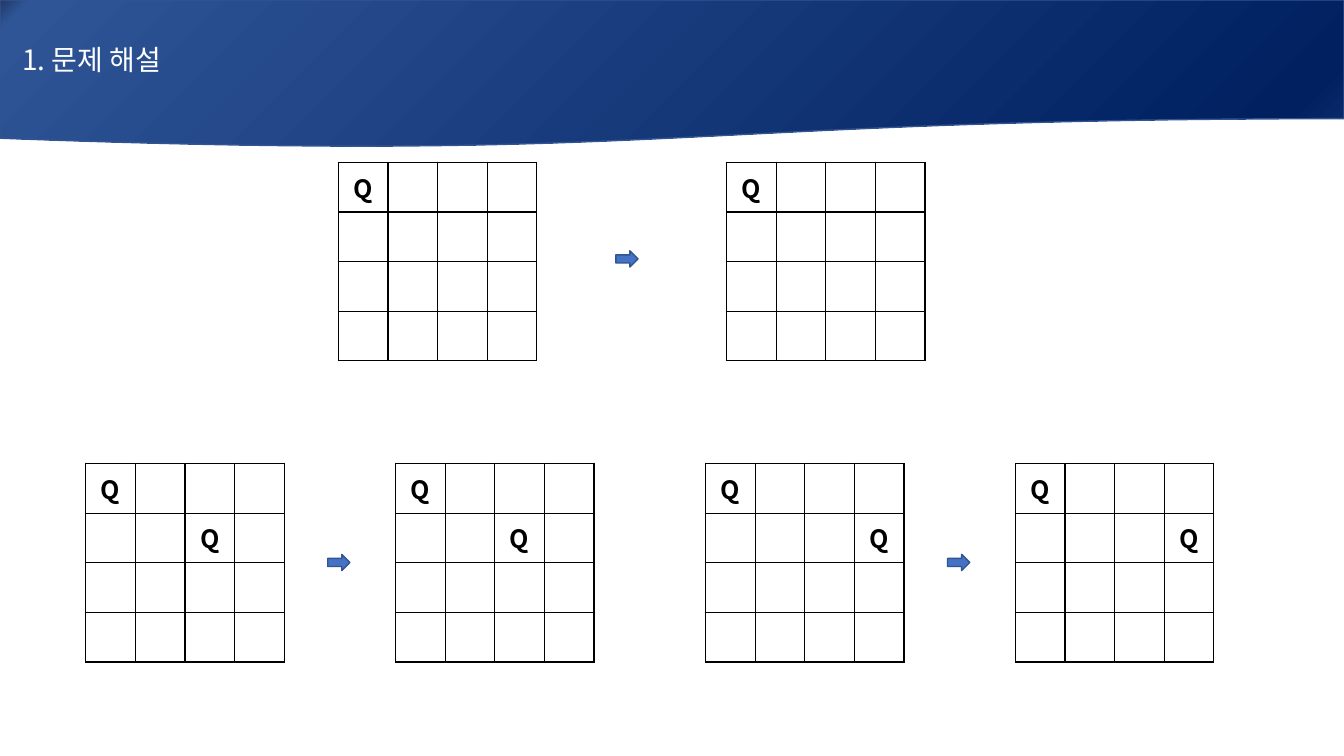
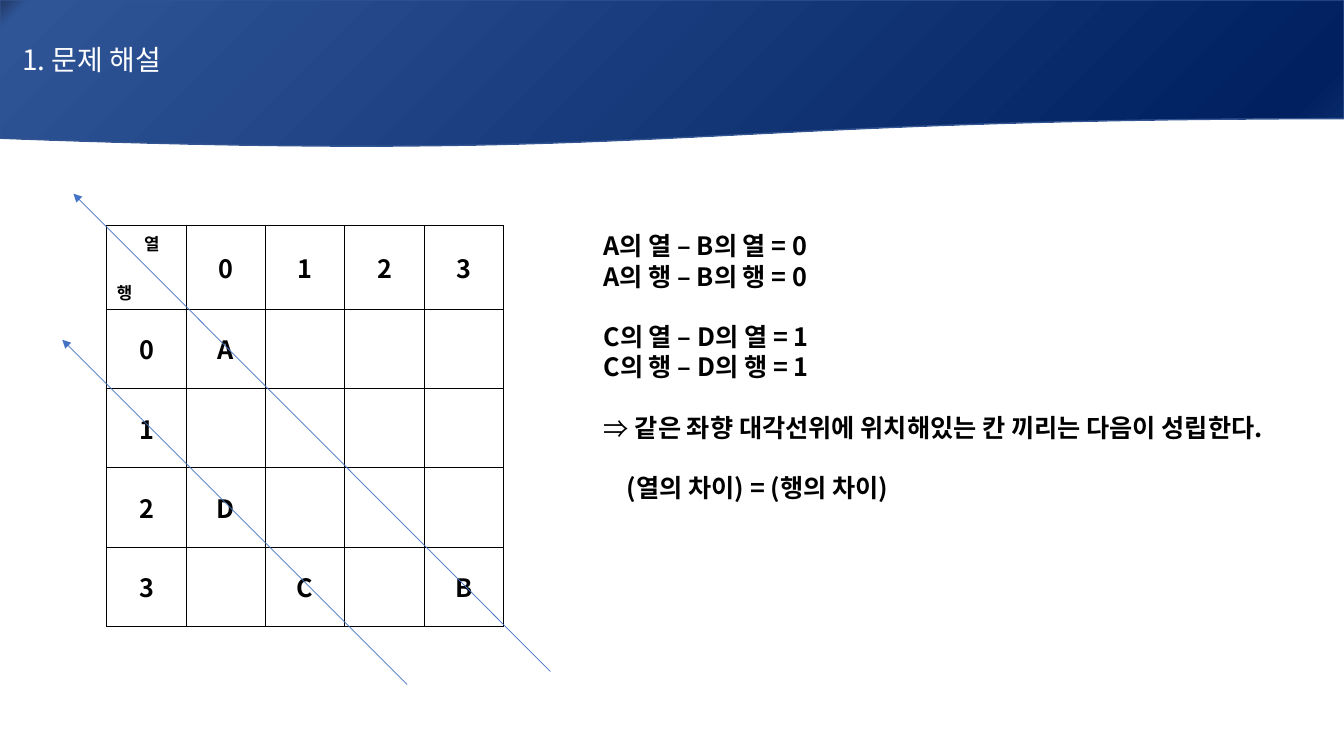
from lxml.etree import SubElement
from pptx import Presentation
from pptx.dml.color import RGBColor
from pptx.enum.shapes import MSO_CONNECTOR, MSO_SHAPE
from pptx.enum.text import MSO_ANCHOR, PP_ALIGN
from pptx.oxml.ns import qn
from pptx.util import Cm, Pt

FONT = "Noto Sans CJK KR"
BLACK = RGBColor(0x00, 0x00, 0x00)
WHITE = RGBColor(0xFF, 0xFF, 0xFF)
BLUE = RGBColor(0x44, 0x72, 0xC4)
OUTLINE = RGBColor(0x32, 0x54, 0x91)
BAND_STOPS = (
    (0, RGBColor(0x20, 0x38, 0x64)),
    (2, RGBColor(0x2F, 0x55, 0x97)),
    (94, RGBColor(0x00, 0x20, 0x60)),
    (100, RGBColor(0x0D, 0x2E, 0x6F)),
)
WIDTH, HEIGHT = 33.87, 19.05
TITLE = "1. 문제 해설"
LINE_HEIGHT = 21.6

SQUARE = 1.25
BOARD_SIZE = 4
TOP_ROW, BOTTOM_ROW = 4.09, 11.68
BOTTOM_LEFT, BOARD_PITCH = 2.16, 7.81
ARROW_OFFSET = 6.1

GRID_LEFT, GRID_TOP, GRID_CELL, GRID_HEADER = 2.69, 5.69, 2, 2.1


def add_solid_fill(parent, color):
    fill = SubElement(parent, qn("a:solidFill"))
    SubElement(fill, qn("a:srgbClr"), val=str(color))


class Deck:
    """Shared style and the slide being drawn."""

    def __init__(self):
        self.presentation = Presentation()
        self.presentation.slide_width = Cm(WIDTH)
        self.presentation.slide_height = Cm(HEIGHT)
        self.slide = None

    def add_slide(self):
        self.slide = self.presentation.slides.add_slide(self.presentation.slide_layouts[6])
        self.title_band()

    def style(self, paragraph, size=18, color=BLACK, bold=True):
        font = paragraph.font
        font.size, font.bold, font.name = Pt(size), bold, FONT
        font.color.rgb = color
        SubElement(font._element, qn("a:ea"), typeface=FONT)

    def shape(self, kind, left, top, width, height):
        shape = self.slide.shapes.add_shape(kind, Cm(left), Cm(top), Cm(width), Cm(height))
        shape.shadow.inherit = False
        shape.line.color.rgb = OUTLINE
        shape.line.width = Pt(1)
        return shape

    def title_band(self):
        band = self.shape(MSO_SHAPE.FLOWCHART_DOCUMENT, 0, 0, WIDTH, 3.73)
        band.fill.gradient()
        band.fill.gradient_angle = 315
        stops = band._element.spPr.find(".//" + qn("a:gsLst"))
        stops.clear()
        for percent, color in BAND_STOPS:
            stop = SubElement(stops, qn("a:gs"), pos=str(percent * 1000))
            SubElement(stop, qn("a:srgbClr"), val=str(color))
        frame = band.text_frame
        frame.margin_left = Cm(0.56)
        frame.vertical_anchor = MSO_ANCHOR.MIDDLE
        paragraph = frame.paragraphs[0]
        paragraph.text = TITLE
        paragraph.alignment = PP_ALIGN.LEFT
        self.style(paragraph, 20, WHITE, bold=False)

    def block_arrow(self, left, top):
        arrow = self.shape(MSO_SHAPE.RIGHT_ARROW, left, top, 0.56, 0.41)
        arrow.fill.solid()
        arrow.fill.fore_color.rgb = BLUE

    def table(self, left, top, widths, heights, labels):
        """Draw a ruled table; labels maps (row, column) to centred text."""
        table = self.slide.shapes.add_table(
            len(heights), len(widths), Cm(left), Cm(top), Cm(sum(widths)), Cm(sum(heights))
        ).table
        table.first_row = table.horz_banding = False
        for column, width in zip(table.columns, widths):
            column.width = Cm(width)
        for row, height in zip(table.rows, heights):
            row.height = Cm(height)
        for cell in table.iter_cells():
            self.rule_cell(cell)
        for position, label in labels.items():
            cell = table.cell(*position)
            cell.vertical_anchor = MSO_ANCHOR.MIDDLE
            paragraph = cell.text_frame.paragraphs[0]
            paragraph.text = label
            paragraph.alignment = PP_ALIGN.CENTER
            self.style(paragraph)
        return table

    def rule_cell(self, cell):
        properties = cell._tc.get_or_add_tcPr()
        for side in ("a:lnL", "a:lnR", "a:lnT", "a:lnB"):
            add_solid_fill(SubElement(properties, qn(side), w=str(Pt(1))), BLACK)
        cell.fill.solid()
        cell.fill.fore_color.rgb = WHITE

    def board(self, left, top, queens):
        sides = [SQUARE] * BOARD_SIZE
        self.table(left, top, sides, sides, dict.fromkeys(queens, "Q"))

    def corner_labels(self, cell, column_label, row_label):
        frame = cell.text_frame
        first, second = frame.paragraphs[0], frame.add_paragraph()
        first.text, second.text = column_label, row_label
        first._p.get_or_add_pPr().set("marL", str(Cm(0.69)))
        second.space_before = Pt(17.4)
        for paragraph in (first, second):
            self.style(paragraph, 12)

    def diagonal(self, start, end):
        ends = [Cm(value) for value in (*start, *end)]
        line = self.slide.shapes.add_connector(MSO_CONNECTOR.STRAIGHT, *ends)
        line.line.color.rgb = BLUE
        line.line.width = Pt(0.5)
        SubElement(line.line._get_or_add_ln(), qn("a:tailEnd"), type="triangle")
        SubElement(line._element.spPr, qn("a:effectLst"))

    def explanation(self, left, top, width, height, lines):
        """Draw lines of (text, starts a group, left indent, bullet)."""
        box = self.slide.shapes.add_textbox(Cm(left), Cm(top), Cm(width), Cm(height))
        frame = box.text_frame
        frame.word_wrap = True
        for index, (text, starts_group, indent, bullet) in enumerate(lines):
            paragraph = frame.add_paragraph() if index else frame.paragraphs[0]
            paragraph.text = text
            paragraph.line_spacing = Pt(LINE_HEIGHT)
            if starts_group:
                paragraph.space_before = Pt(LINE_HEIGHT)
            properties = paragraph._p.get_or_add_pPr()
            properties.set("marL", str(Cm(indent)))
            if bullet:
                properties.set("indent", str(-Cm(indent)))
                SubElement(properties, qn("a:buFont"), typeface=FONT)
                SubElement(properties, qn("a:buChar"), char=bullet)
            self.style(paragraph)


def draw_boards(deck):
    deck.add_slide()
    for left in (8.53, 18.31):
        deck.board(left, TOP_ROW, [(0, 0)])
    deck.block_arrow(15.52, 6.32)
    for index, queen_column in enumerate((2, 2, 3, 3)):
        left = BOTTOM_LEFT + index * BOARD_PITCH
        deck.board(left, BOTTOM_ROW, [(0, 0), (1, queen_column)])
        if index % 2 == 0:
            deck.block_arrow(left + ARROW_OFFSET, 13.97)


def draw_diagonals(deck):
    deck.add_slide()
    labels = {(1, 1): "A", (4, 4): "B", (4, 2): "C", (3, 1): "D"}
    for number in range(BOARD_SIZE):
        labels[0, number + 1] = labels[number + 1, 0] = str(number)
    widths = [GRID_CELL] * (BOARD_SIZE + 1)
    heights = [GRID_HEADER] + [GRID_CELL] * BOARD_SIZE
    grid = deck.table(GRID_LEFT, GRID_TOP, widths, heights, labels)
    deck.corner_labels(grid.cell(0, 0), "열", "행")
    deck.diagonal((13.87, 16.92), (1.85, 4.88))
    deck.diagonal((10.26, 17.25), (1.57, 8.56))
    deck.explanation(14.96, GRID_TOP, 17.8, 9.5, (
        ("A의 열 – B의 열 = 0", False, 0, None),
        ("A의 행 – B의 행 = 0", False, 0, None),
        ("C의 열 – D의 열 = 1", True, 0, None),
        ("C의 행 – D의 행 = 1", False, 0, None),
        ("같은 좌향 대각선위에 위치해있는 칸 끼리는 다음이 성립한다.", True, 0.79, "⇒"),
        ("(열의 차이) = (행의 차이)", True, 0.59, None),
    ))


def main():
    deck = Deck()
    draw_boards(deck)
    draw_diagonals(deck)
    deck.presentation.save("out.pptx")


if __name__ == "__main__":
    main()
